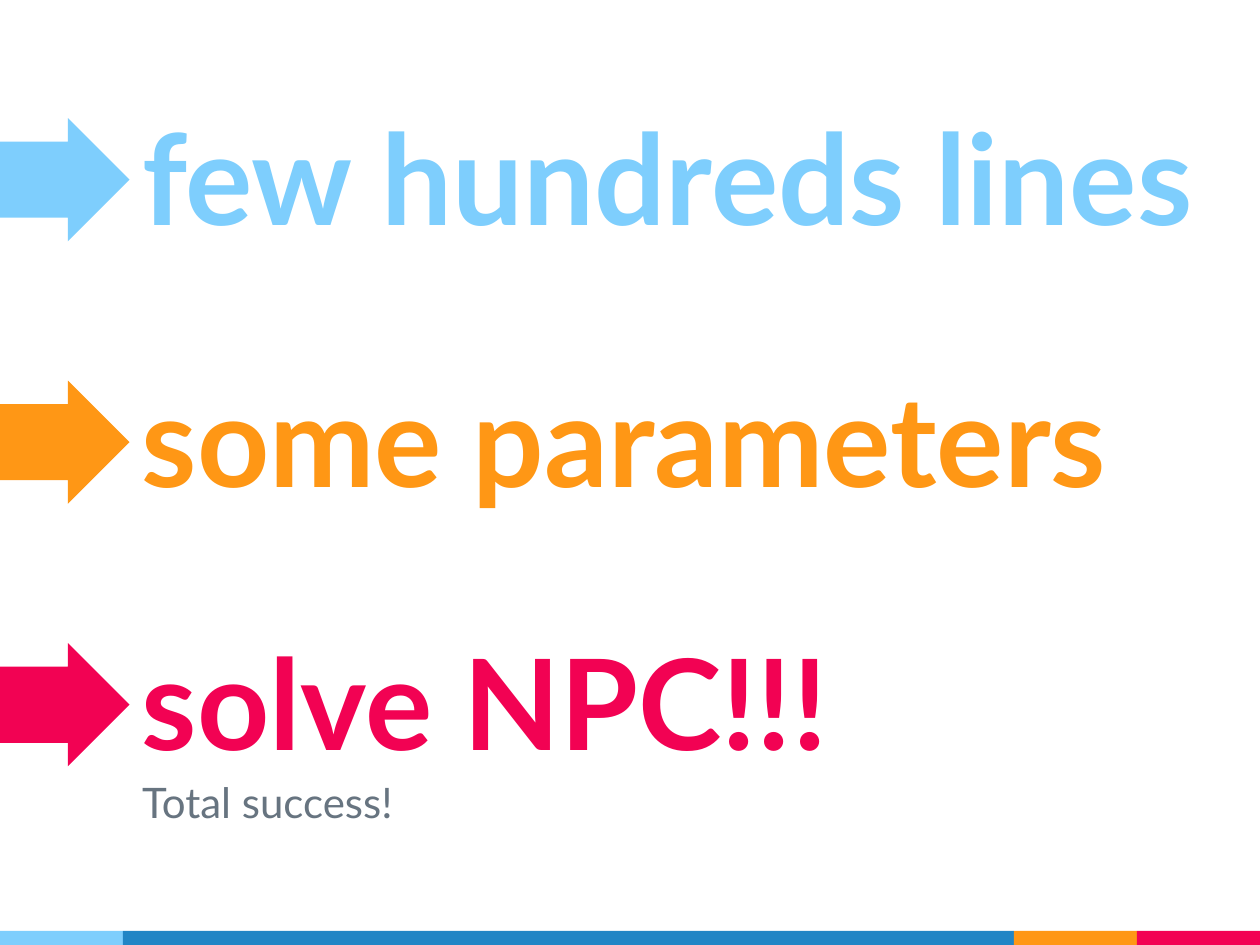
from dataclasses import dataclass

from pptx import Presentation
from pptx.dml.color import RGBColor
from pptx.enum.shapes import MSO_SHAPE as Preset
from pptx.enum.text import MSO_ANCHOR as Anchor, MSO_AUTO_SIZE as AutoSize, PP_ALIGN as Align
from pptx.util import Pt


@dataclass(frozen=True)
class Theme:
    font: str = "Lato"
    sky: str = "7ECEFD"
    blue: str = "2185C5"
    orange: str = "FF9715"
    red: str = "F20253"
    grey: str = "677480"
    white: str = "FFFFFF"
    headline_size: int = 72
    remark_size: int = 24


@dataclass(frozen=True)
class Box:
    left: float
    top: float
    width: float
    height: float

    def inner(self, left, top, width, height):
        return Box(self.left + left, self.top + top, width, height)


THEME = Theme()
SLIDE = Box(0, 0, 720, 540)
ROW_PITCH = 150
ARROW_WIDTH = 74


def place(part, box):
    part.left, part.top = Pt(box.left), Pt(box.top)
    part.width, part.height = Pt(box.width), Pt(box.height)


def write(holder, text, *, size, color, bold=False, anchor=Anchor.TOP):
    frame = holder.text_frame
    frame.text = text
    frame.word_wrap = True
    frame.auto_size = AutoSize.NONE
    frame.vertical_anchor = anchor
    frame.margin_left = frame.margin_right = Pt(7.2)
    frame.margin_top = frame.margin_bottom = Pt(7.2)
    line = frame.paragraphs[0]
    line.alignment = Align.LEFT
    line.space_before = Pt(0)
    font = line.runs[0].font
    font.name, font.size, font.bold = THEME.font, Pt(size), bold
    font.color.rgb = RGBColor.from_string(color)


def add_block(slide, preset, box, color):
    block = slide.shapes.add_shape(preset, 0, 0, 0, 0)
    place(block, box)
    block.shadow.inherit = False
    block.fill.solid()
    block.fill.fore_color.rgb = RGBColor.from_string(color)
    block.line.fill.background()
    return block


def add_footer_stripe(slide, box):
    end = 70.3
    middle = box.width - 3 * end
    left = 0
    for width, color in ((end, THEME.sky), (middle, THEME.blue),
                         (end, THEME.orange), (end, THEME.red)):
        add_block(slide, Preset.RECTANGLE, box.inner(left, 0, width, box.height), color)
        left += width


def add_statement(slide, box, headline, text, color):
    place(headline, box.inner(ARROW_WIDTH, 0, box.width - ARROW_WIDTH, box.height))
    write(headline, text, size=THEME.headline_size, color=color, bold=True,
          anchor=Anchor.BOTTOM)
    arrow = add_block(slide, Preset.RIGHT_ARROW, box.inner(0, 11.5, ARROW_WIDTH, 70.4), color)
    arrow.adjustments[0] = 0.618
    arrow.adjustments[1] = 0.5


def add_remark(remark, box, text):
    place(remark, box)
    write(remark, text, size=THEME.remark_size, color=THEME.grey)


def main():
    deck = Presentation()
    deck.slide_width, deck.slide_height = Pt(SLIDE.width), Pt(SLIDE.height)
    slide = deck.slides.add_slide(deck.slide_layouts[0])
    slide.background.fill.solid()
    slide.background.fill.fore_color.rgb = RGBColor.from_string(THEME.white)

    add_footer_stripe(slide, SLIDE.inner(0, 532, SLIDE.width, 8))
    statements = (("few hundreds lines", THEME.sky),
                  ("some parameters", THEME.orange),
                  ("solve NPC!!!", THEME.red))
    for row, (text, color) in enumerate(statements):
        headline = slide.shapes.add_textbox(0, 0, 0, 0) if row else slide.shapes.title
        box = SLIDE.inner(0, 56 + row * ROW_PITCH, 736, 94.3)
        add_statement(slide, box, headline, text, color)
    add_remark(slide.placeholders[1], SLIDE.inner(ARROW_WIDTH, 436.3, 592, 49), "Total success!")

    deck.save("out.pptx")


if __name__ == "__main__":
    main()
